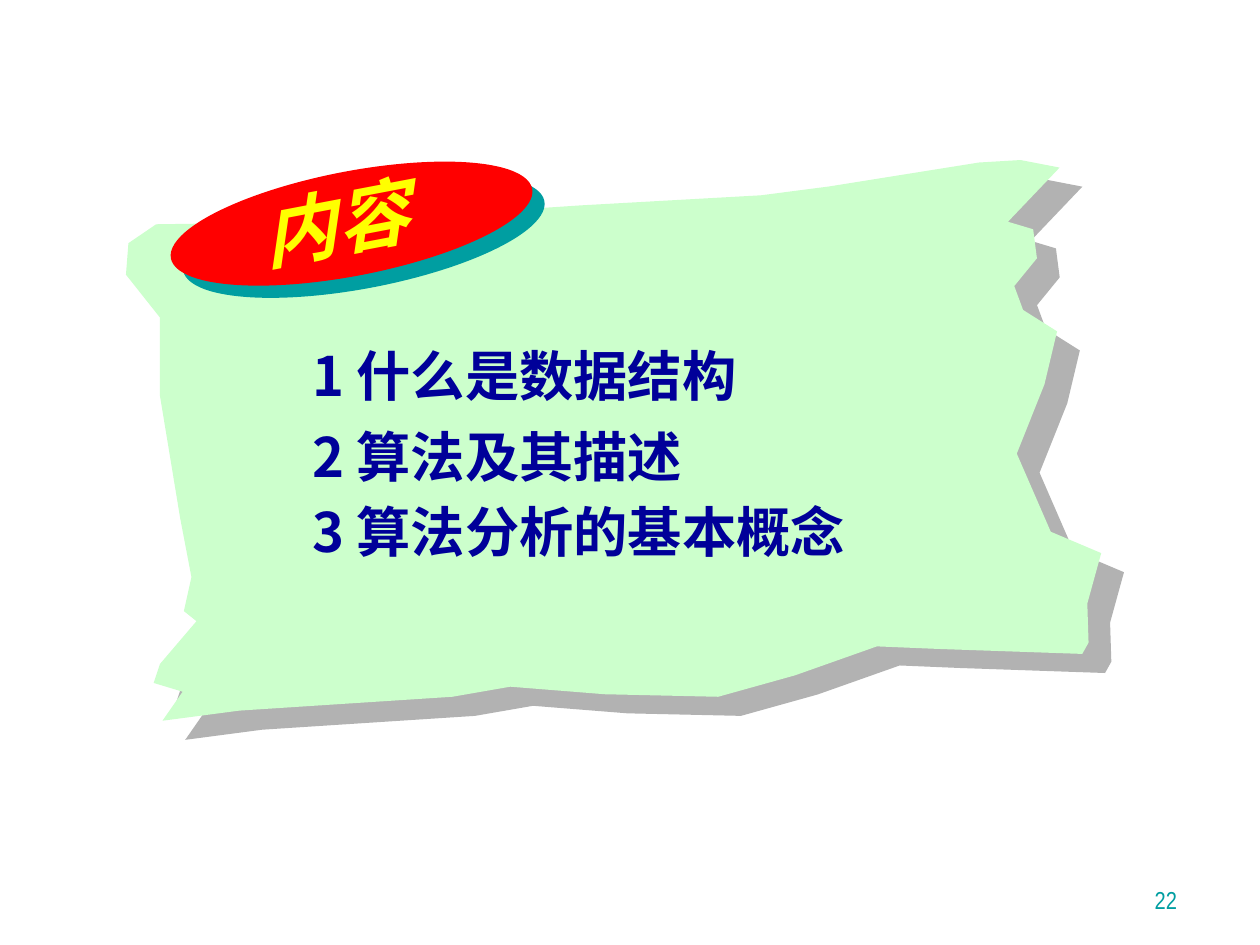
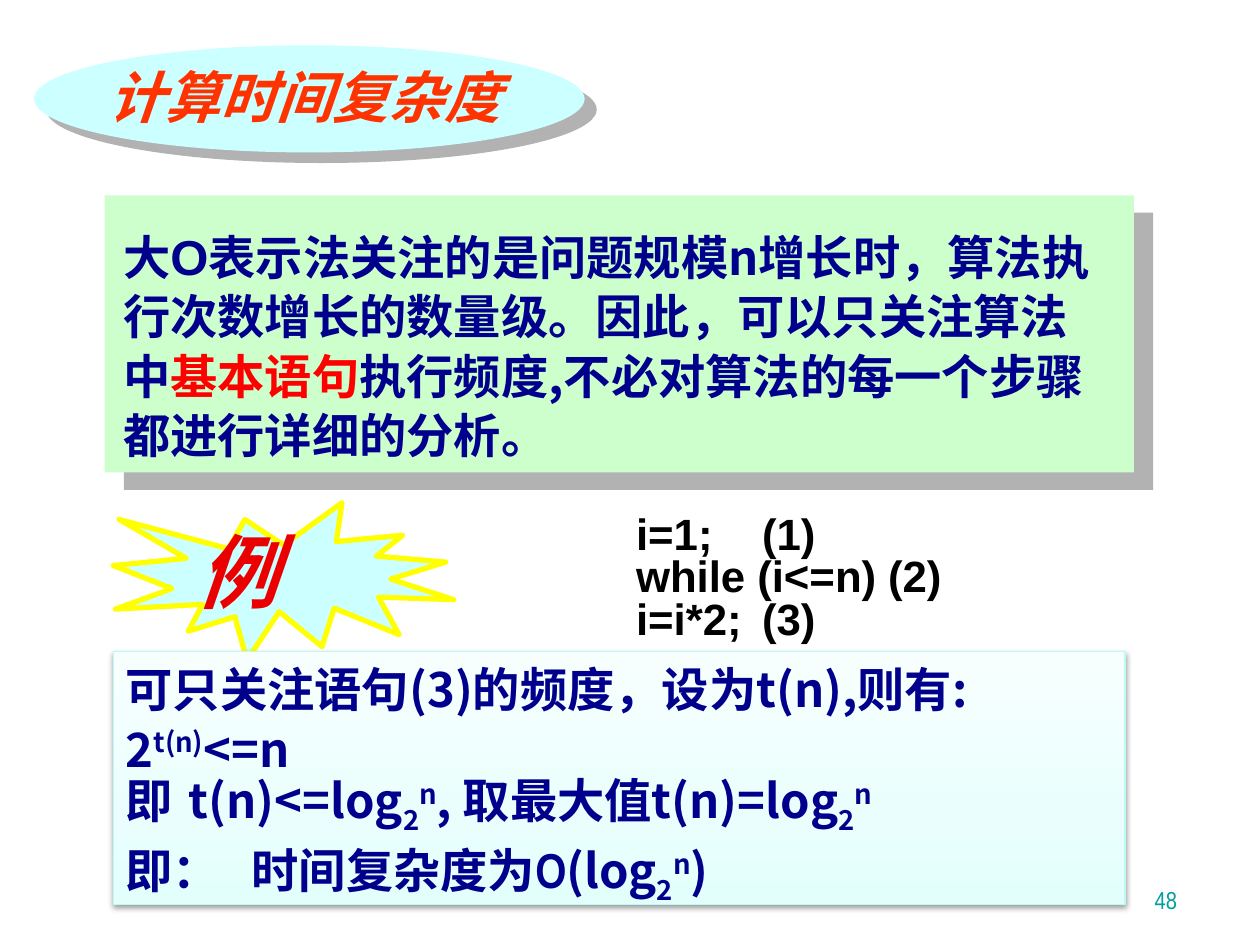
import dataclasses

import lxml.etree
import pptx
import pptx.dml.color
import pptx.enum.shapes
import pptx.enum.text
import pptx.oxml
import pptx.oxml.ns
import pptx.util

Inches = pptx.util.Inches
Pt = pptx.util.Pt
qn = pptx.oxml.ns.qn
Shapes = pptx.enum.shapes.MSO_SHAPE
Anchor = pptx.enum.text.MSO_ANCHOR
Align = pptx.enum.text.PP_ALIGN


@dataclasses.dataclass(frozen=True)
class Theme:
    chinese: str = "Noto Sans CJK SC"
    latin: str = "Arial"
    narrow: str = "Arial Narrow"
    paper: str = "CCFFCC"
    sky: str = "CCFFFF"
    red: str = "FF0000"
    orange: str = "FF3300"
    crimson: str = "EA0000"
    yellow: str = "FFFF00"
    list_blue: str = "000099"
    navy: str = "00008C"
    teal: str = "009EA1"
    gray: str = "B2B2B2"
    black: str = "000000"
    white: str = "FFFFFF"
    panel_edge: str = "BBFAF5"
    panel_stops: tuple = ((0, "E2FFFC"), (35, "EAFFFD"), (100, "F7FFFE"))
    badge_size: int = 42
    title_size: int = 32
    list_size: int = 31
    body_size: int = 27
    code_size: int = 25
    seal_size: int = 46
    number_size: int = 14


THEME = Theme()
TILT = 349.1
LINE_HEIGHT = 1.2

TOP_EDGE = ((0.24, 0.53), (1.67, 0.51), (3.61, 0.38), (5.04, 0.3), (5.58, 0.23),
            (6.77, 0.04), (7.1, 0.02), (7.41, 0.08))
RIGHT_EDGE = ((7, 0.51), (7.2, 0.57), (7.23, 0.8), (7.05, 1.02), (7.12, 1.21), (7.39, 1.38),
              (7.29, 1.8), (7.07, 2.35), (7.34, 2.97), (7.74, 3.14), (7.63, 3.54), (7.64, 3.85))
BOTTOM_EDGE = ((7.59, 3.94), (6.44, 3.9), (5.96, 3.88), (5.31, 4.11), (4.7, 4.28),
               (3.8, 4.26), (3.05, 4.2), (2.59, 4.28), (0.9, 4.39), (0.29, 4.47))
LEFT_EDGE = ((0.45, 4.24), (0.22, 4.17), (0.27, 4.02), (0.56, 3.68), (0.46, 3.6), (0.52, 3.33),
             (0.43, 2.86), (0.27, 1.89), (0.27, 1.27), (0, 0.93), (0.02, 0.68))


def color(value):
    return pptx.dml.color.RGBColor.from_string(value)


def place(shape, box):
    shape.left, shape.top, shape.width, shape.height = map(Inches, box)


def inside(box, left, top, width, height):
    return box[0] + left, box[1] + top, width, height


def bring_to_front(shape):
    shape.element.getparent().append(shape.element)


def write_text(shape, paragraphs, *, size, fill, font=THEME.chinese, bold=True, italic=False,
               anchor=Anchor.TOP, align=Align.LEFT, leading=None, before=(), tabs=()):
    frame = shape.text_frame
    frame.word_wrap = True
    frame.auto_size = pptx.enum.text.MSO_AUTO_SIZE.NONE
    frame.vertical_anchor = anchor
    for index, content in enumerate(paragraphs):
        paragraph = frame.add_paragraph() if index else frame.paragraphs[0]
        paragraph.alignment = align
        paragraph.line_spacing = Pt(leading or round(size * LINE_HEIGHT))
        paragraph.space_before = Pt(before[index] if before else 0)
        properties = paragraph._p.get_or_add_pPr()
        properties.set("marL", "0")
        properties.set("indent", "0")
        lxml.etree.SubElement(properties, qn("a:buNone"))
        if tabs:
            tab_list = lxml.etree.SubElement(properties, qn("a:tabLst"))
            for position in tabs[index]:
                lxml.etree.SubElement(tab_list, qn("a:tab"), pos=str(Inches(position)), algn="l")
        for text, changes in [(content, {})] if isinstance(content, str) else content:
            run = paragraph.add_run()
            run.text = text
            run.font.name = changes.get("font", font)
            run.font.size = Pt(changes.get("size", size))
            run.font.bold = bold
            run.font.italic = italic
            run.font.color.rgb = color(changes.get("fill", fill))
            run_properties = run.font._element
            if "baseline" in changes:
                run_properties.set("baseline", str(changes["baseline"] * 1000))
            lxml.etree.SubElement(run_properties, qn("a:ea"), typeface=THEME.chinese)


def add_text(slide, box, paragraphs, **text_format):
    shape = slide.shapes.add_textbox(*map(Inches, box))
    write_text(shape, paragraphs, **text_format)
    return shape


def decorate(shape, fill, shadow, line=None, line_width=0):
    shape.fill.solid()
    shape.fill.fore_color.rgb = color(fill)
    if line:
        shape.line.color.rgb = color(line)
        shape.line.width = Pt(line_width)
    else:
        shape.line.fill.background()
    shape.shadow.inherit = False
    tint, distance, direction, blur, alpha = shadow
    effects = shape.element.spPr.find(qn("a:effectLst"))
    outer = lxml.etree.SubElement(
        effects, qn("a:outerShdw"), blurRad=str(Pt(blur)), dist=str(Pt(distance)),
        dir=str(direction * 60000), algn="tl", rotWithShape="0")
    tone = lxml.etree.SubElement(outer, qn("a:srgbClr"), val=tint)
    lxml.etree.SubElement(tone, qn("a:alpha"), val=str(alpha * 1000))


def hard_shadow(tint, distance, direction):
    return tint, distance, direction, 0, 100


def add_preset(slide, preset, box, fill, shadow, **line_format):
    shape = slide.shapes.add_shape(preset, *map(Inches, box))
    decorate(shape, fill, shadow, **line_format)
    return shape


def fill_gradient(shape, stops, angle):
    gradient = lxml.etree.Element(qn("a:gradFill"), rotWithShape="1")
    stop_list = lxml.etree.SubElement(gradient, qn("a:gsLst"))
    for position, tint in stops:
        stop = lxml.etree.SubElement(stop_list, qn("a:gs"), pos=str(position * 1000))
        lxml.etree.SubElement(stop, qn("a:srgbClr"), val=tint)
    lxml.etree.SubElement(gradient, qn("a:lin"), ang=str(angle * 60000), scaled="0")
    properties = shape.element.spPr
    properties.replace(properties.find(qn("a:solidFill")), gradient)


def add_torn_paper(slide, left, top):
    outline = [(Inches(left + x), Inches(top + y))
               for x, y in TOP_EDGE + RIGHT_EDGE + BOTTOM_EDGE + LEFT_EDGE]
    builder = slide.shapes.build_freeform(*outline[0])
    builder.add_line_segments(outline[1:], close=True)
    decorate(builder.convert_to_shape(), THEME.paper, hard_shadow(THEME.gray, 17, 40))


def add_contents_badge(slide, box):
    ellipse = add_preset(slide, Shapes.OVAL, box, THEME.red, hard_shadow(THEME.teal, 9.9, 45))
    title = slide.shapes.title
    place(title, inside(box, 0.64, -0.02, 1.64, 0.8))
    ellipse.rotation = title.rotation = TILT
    write_text(title, ["内容"], size=THEME.badge_size, fill=THEME.yellow,
               font=THEME.latin, italic=True)
    bring_to_front(title)


def add_contents_list(slide, box):
    body = slide.placeholders[1]
    place(body, box)
    write_text(body, ["1 什么是数据结构", "2 算法及其描述", "3 算法分析的基本概念"],
               size=THEME.list_size, fill=THEME.list_blue, before=(0, 9, 6))
    bring_to_front(body)


def add_oval_title(slide, box, text):
    add_preset(slide, Shapes.OVAL, box, THEME.sky, hard_shadow(THEME.gray, 9.2, 41))
    title = slide.shapes.title
    place(title, inside(box, 0.49, 0.05, 4.59, 0.67))
    write_text(title, [text], size=THEME.title_size, fill=THEME.orange,
               italic=True, anchor=Anchor.BOTTOM)
    bring_to_front(title)


def add_notation_panel(slide, box):
    add_preset(slide, Shapes.RECTANGLE, box, THEME.paper, hard_shadow(THEME.gray, 14.9, 42))
    runs = [("大", {}), ("O", {"font": THEME.latin, "size": 28}),
            ("表示法关注的是问题规模n增长时，算法执行次数增长的数量级。因此，可以只关注算法中", {}),
            ("基本语句", {"fill": THEME.red}),
            ("执行频度,不必对算法的每一个步骤都进行详细的分析。", {})]
    add_text(slide, inside(box, 0.05, 0.19, 8.06, 2.03), [runs],
             size=THEME.body_size, fill=THEME.navy, leading=34)


def add_code(slide, box):
    lines = ["\ti=1;\t(1)", "\twhile (i<=n)\t(2)", "\ti=i*2;\t(3)"]
    add_text(slide, box, lines, size=THEME.code_size, fill=THEME.black, font=THEME.latin,
             leading=24, tabs=((0.19, 3.3), (0.19, 3.16), (0.48, 3.24)))


def add_example_seal(slide, box):
    add_preset(slide, Shapes.EXPLOSION1, box, THEME.sky, hard_shadow(THEME.white, 9.2, 13),
               line=THEME.yellow, line_width=3)
    add_text(slide, inside(box, 0.57, 0.11, 1.23, 0.87), ["例"], size=THEME.seal_size,
             fill=THEME.crimson, font=THEME.latin, italic=True)


def add_analysis_panel(slide, box):
    panel = add_preset(slide, Shapes.RECTANGLE, box, THEME.white, (THEME.black, 1.6, 90, 3.1, 38),
                       line=THEME.panel_edge, line_width=0.75)
    fill_gradient(panel, THEME.panel_stops, 270)
    log_base_two = [("2", {"baseline": -25}), ("n", {"baseline": 30})]
    paragraphs = [
        "可只关注语句(3)的频度，设为t(n),则有:",
        [("2", {}), ("t(n)", {"baseline": 30}), ("<=n", {})],
        [("即 \tt(n)<=log", {}), *log_base_two, (", 取最大值t(n)=log", {}), *log_base_two],
        [("即：\t时间复杂度为", {}), ("O", {"font": THEME.narrow, "size": 28}),
         ("(log", {}), *log_base_two, (")", {})],
    ]
    write_text(panel, paragraphs, size=THEME.body_size, fill=THEME.navy,
               leading=34, before=(0, 0, 0, 6))


def add_slide_number(slide, number):
    add_text(slide, (7.36, 6.81, 2.08, 0.5), [str(number)], size=THEME.number_size,
             fill=THEME.teal, font=THEME.narrow, bold=False, anchor=Anchor.BOTTOM,
             align=Align.RIGHT)


def build_contents_slide(presentation):
    slide = presentation.slides.add_slide(presentation.slide_layouts[1])
    add_torn_paper(slide, 1, 1.25)
    add_contents_badge(slide, (1.33, 1.36, 2.92, 0.83))
    add_contents_list(slide, (2.38, 2.67, 5.54, 1.87))
    add_slide_number(slide, 22)


def build_complexity_slide(presentation):
    slide = presentation.slides.add_slide(presentation.slide_layouts[5])
    add_oval_title(slide, (0.27, 0.36, 4.37, 0.85), "计算时间复杂度")
    add_notation_panel(slide, (0.83, 1.55, 8.17, 2.2))
    add_code(slide, (4.45, 4.06, 4.05, 1.1))
    add_example_seal(slide, (0.9, 3.99, 2.7, 1.25))
    add_analysis_panel(slide, (0.9, 5.17, 8.03, 2.01))
    add_slide_number(slide, 48)


def main():
    presentation = pptx.Presentation()
    presentation.slide_width = Inches(10)
    presentation.slide_height = Inches(7.5)
    build_contents_slide(presentation)
    build_complexity_slide(presentation)
    presentation.save("out.pptx")


if __name__ == "__main__":
    main()
